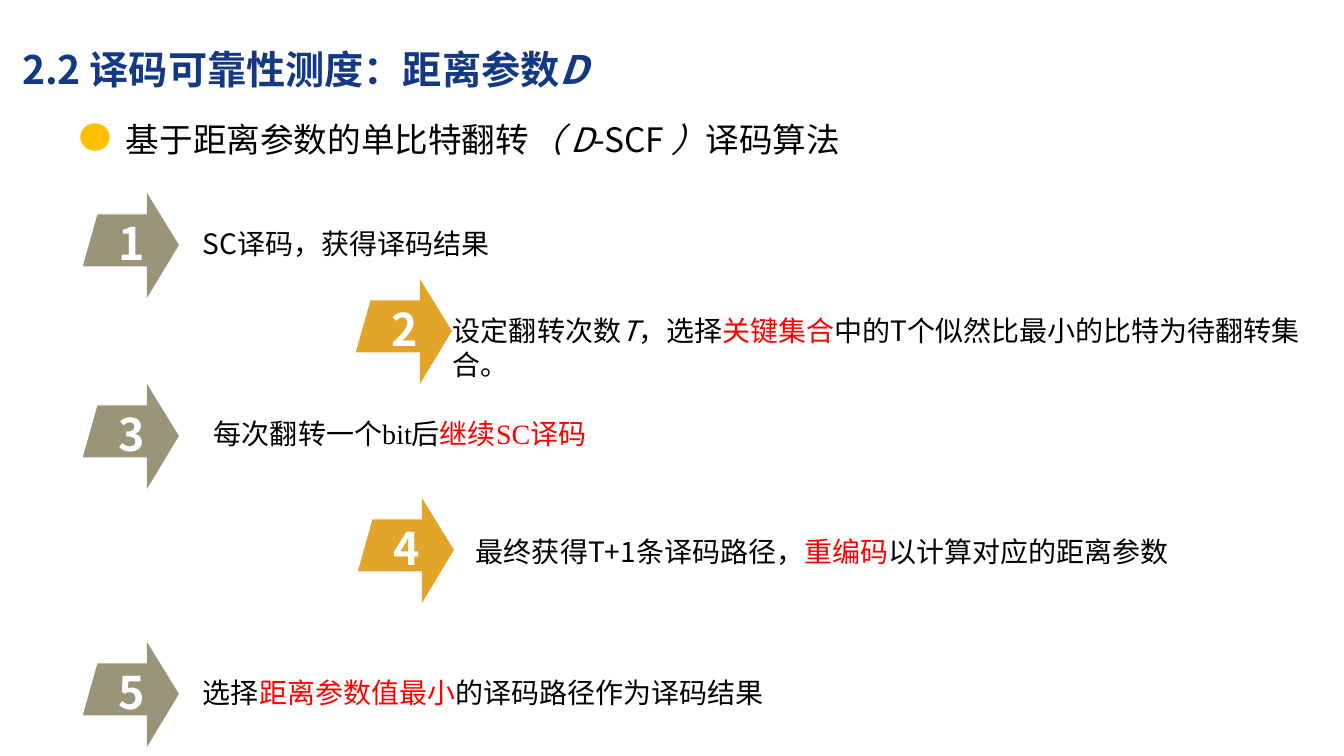
from lxml import etree
from pptx import Presentation
from pptx.dml.color import RGBColor
from pptx.enum.shapes import MSO_SHAPE
from pptx.enum.text import MSO_ANCHOR, MSO_AUTO_SIZE, PP_ALIGN
from pptx.oxml.ns import qn
from pptx.util import Pt

CIRCLE = MSO_SHAPE.FLOWCHART_CONNECTOR
TOP = MSO_ANCHOR.TOP
GROW = MSO_AUTO_SIZE.SHAPE_TO_FIT_TEXT
LEFT, CENTER = PP_ALIGN.LEFT, PP_ALIGN.CENTER

PIXEL = 914400 / 100.8
SLIDE_SIZE = (1344, 756)
SANS, SERIF = "Noto Sans CJK SC", "Times New Roman"
COLORS = {"title": "133984", "text": "000000", "key": "FF0000", "white": "FFFFFF",
          "odd": "9A9479", "even": "E2A52A", "bullet": "FFC000"}

# Content: each run is its text followed by what differs from the default
ITALIC, KEY, LATIN = {"italic": True}, {"color": "key"}, {"font": SERIF}
TITLE = [("2.2 译码可靠性测度：距离参数", {}), ("D", ITALIC)]
SUBTITLE = [("基于距离参数的单比特翻转", {}), ("（ D", ITALIC), ("-SCF ", {}),
            ("）", ITALIC), ("译码算法", {})]
# Steps: arrow left and top, text left, top and width, runs
STEPS = [
    ((82, 193), (193, 222, 697), [("SC译码，获得译码结果", {})]),
    ((355, 279), (443, 309, 894), [
        ("设定翻转次数", {}), ("T", ITALIC), ("，选择", {}), ("关键集合", KEY),
        ("中的T个似然比最小的比特为待翻转集合。", {})]),
    ((82, 384), (204, 412, 672), [
        ("每次翻转一个", {}), ("bit", LATIN), ("后", {}), ("继续", KEY),
        ("SC", {**KEY, **LATIN}), ("译码", KEY)]),
    ((357, 498), (466, 530, 772), [
        ("最终获得T+1条译码路径，", {}), ("重编码", KEY), ("以计算对应的距离参数", {})]),
    ((82, 642), (193, 671, 772), [
        ("选择", {}), ("距离参数值最小", KEY), ("的译码路径作为译码结果", {})]),
]

# Arrow outline, relative to the arrow's left and top
ARROW_TAIL = [(0, 74), (15, 21), (67, 21), (67, 74)]
ARROW_HEAD = [(65, 0), (97, 52), (65, 105)]
NUMBER_BOX = (24, 18, 52, 64)
STEP_HEIGHT = 44


def emu(*pixels):
    return [round(pixel * PIXEL) for pixel in pixels]


def rgb(name):
    return RGBColor.from_string(COLORS[name])


def write(shape, runs, size, color="text", bold=False, align=LEFT):
    frame = shape.text_frame
    frame.word_wrap = True
    frame.auto_size = GROW
    frame.vertical_anchor = TOP
    paragraph = frame.paragraphs[0]
    paragraph.alignment = align
    for text, style in runs:
        run = paragraph.add_run()
        run.text = text
        font = run.font
        font.size, font.bold = Pt(size), bold
        font.italic = style.get("italic", False)
        font.color.rgb = rgb(style.get("color", color))
        font.name = style.get("font", SANS)
        east_asian = etree.SubElement(run._r.get_or_add_rPr(), qn("a:ea"))
        east_asian.set("typeface", SANS)
    return paragraph


def add_text(box, runs, size, **options):
    write(slide.shapes.add_textbox(*emu(*box)), runs, size, **options)


def paint(shape, fill, line=None, width=0.75):
    shape.shadow.inherit = False
    shape.fill.solid()
    shape.fill.fore_color.rgb = rgb(fill)
    if line:
        shape.line.color.rgb = rgb(line)
        shape.line.width = Pt(width)
    else:
        shape.line.fill.background()


def add_outline(group, origin, points, fill, line=None):
    corners = [emu(origin[0] + x, origin[1] + y) for x, y in points]
    builder = group.shapes.build_freeform(*corners[0])
    builder.add_line_segments(corners[1:], close=True)
    paint(builder.convert_to_shape(), fill, line)


presentation = Presentation()
presentation.slide_width, presentation.slide_height = emu(*SLIDE_SIZE)
slide = presentation.slides.add_slide(presentation.slide_layouts[5])

# Title
title = slide.shapes.title
title.left, title.top, title.width, title.height = emu(12, 17, 704, 73)
write(title, TITLE, 28, color="title", bold=True).line_spacing = 1.5

# Subtitle with its round marker
paint(slide.shapes.add_shape(CIRCLE, *emu(81, 124, 28, 26)), "bullet", "bullet", 1)
add_text((116, 114, 783, 50), SUBTITLE, 24)

# Numbered steps
for number, (origin, (left, top, width), runs) in enumerate(STEPS, 1):
    fill = "odd" if number % 2 else "even"
    arrow = slide.shapes.add_group_shape()
    add_outline(arrow, origin, ARROW_TAIL, fill, "white")
    add_outline(arrow, origin, ARROW_HEAD, fill)
    x, y, box_width, box_height = NUMBER_BOX
    add_text((origin[0] + x, origin[1] + y, box_width, box_height),
             [(str(number), {})], 32, color="white", bold=True, align=CENTER)
    add_text((left, top, width, STEP_HEIGHT), runs, 20)

presentation.save("out.pptx")
